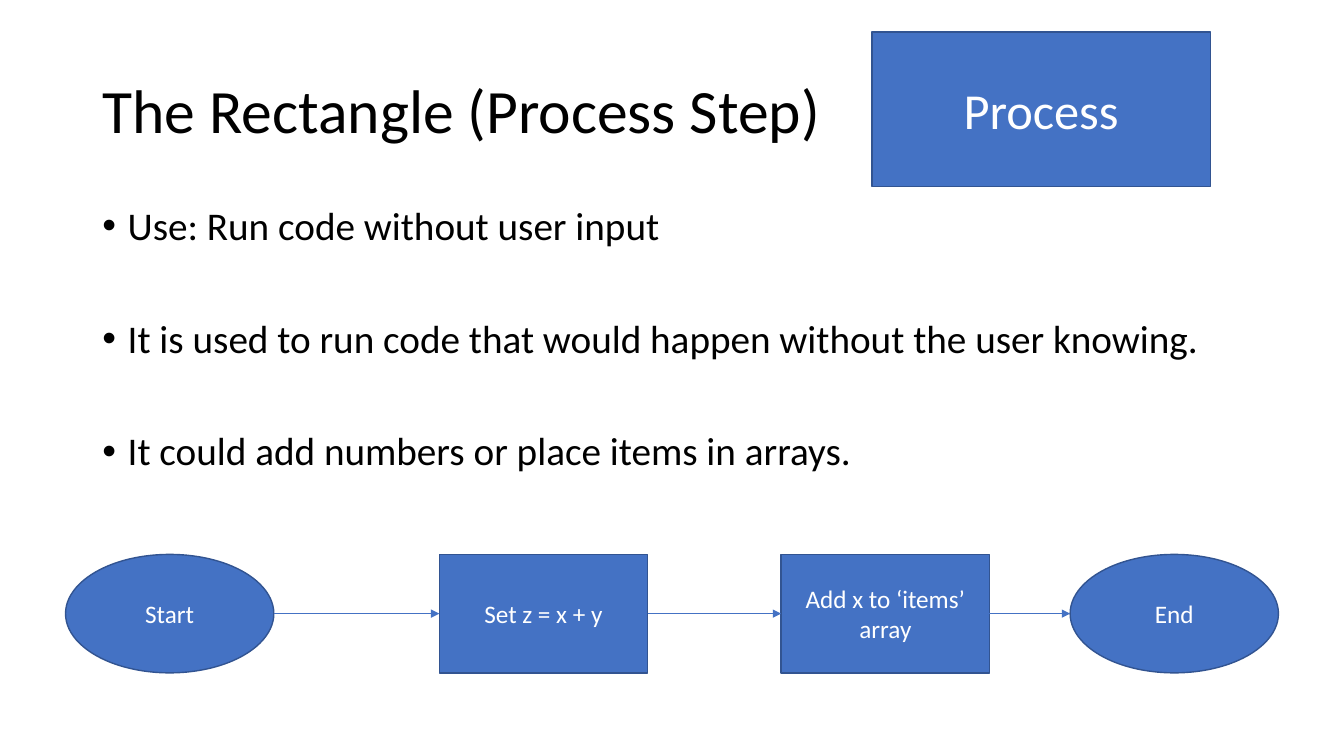
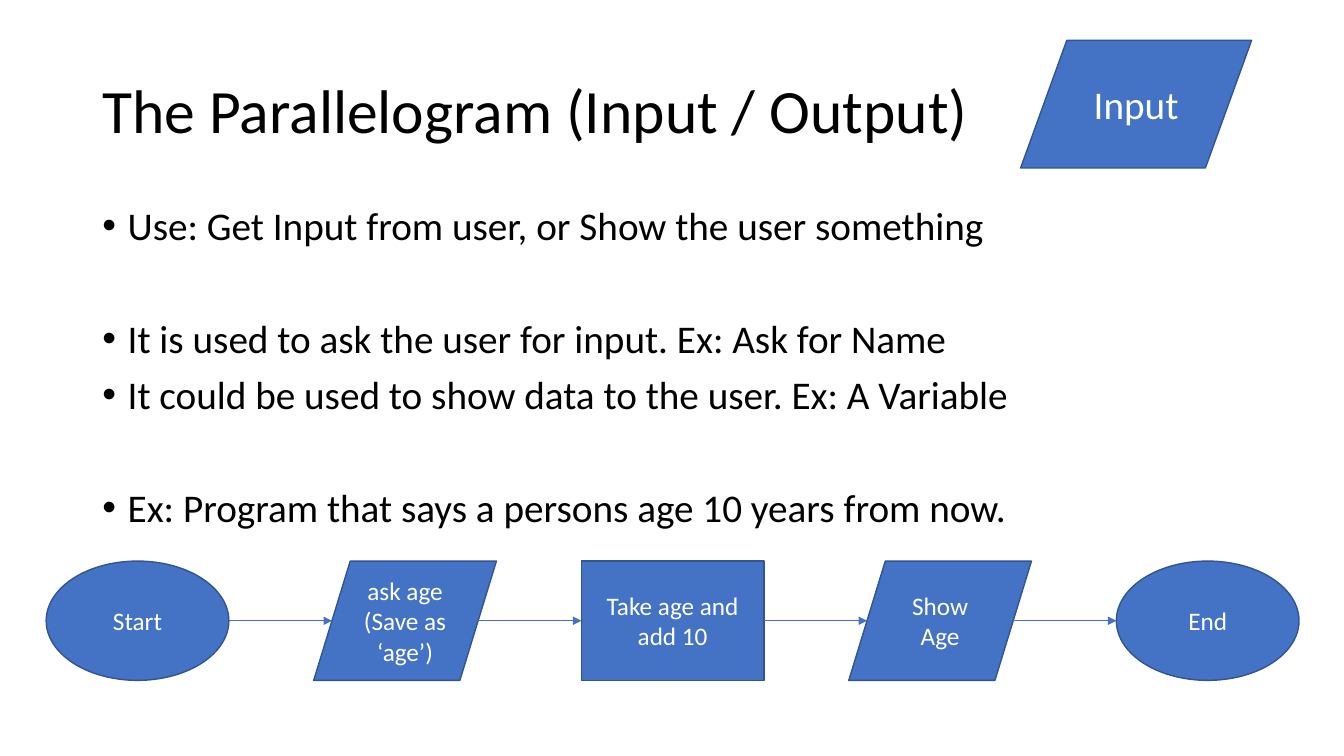
from lxml import etree
from pptx import Presentation
from pptx import util as u
from pptx.dml.color import RGBColor
from pptx.enum import shapes, text
from pptx.oxml.ns import qn

BLACK = RGBColor(0x00, 0x00, 0x00)
WHITE = RGBColor(0xFF, 0xFF, 0xFF)
BLUE = RGBColor(0x44, 0x72, 0xC4)
DARK_BLUE = RGBColor(0x32, 0x54, 0x91)

COLUMNS, ROWS = 160, 90
CELL = u.Inches(1) // 12

TERMINAL = shapes.MSO_SHAPE.OVAL
PROCESS = shapes.MSO_SHAPE.RECTANGLE
DATA = shapes.MSO_SHAPE.FLOWCHART_DATA


def cells(*counts):
    """Turn grid counts into lengths."""
    return [u.Emu(round(count * CELL)) for count in counts]


class FlowchartDeck:
    """Holds the shared style and the current slide; lengths are grid cells."""

    FONT = "Calibri"
    TITLE_AREA = (11, 4.8, 138, 17.4)
    BODY_AREA = (11, 24, 138, 57.1)
    LINE_SPACING = 0.9
    NEAR, FAR = u.Pt(10), u.Pt(50.2)

    def __init__(self):
        self.deck = Presentation()
        self.deck.slide_width, self.deck.slide_height = cells(COLUMNS, ROWS)
        self.page = None

    def add_page(self, title):
        self.page = self.deck.slides.add_slide(self.deck.slide_layouts[1])
        frame = self.fill_placeholder(0, self.TITLE_AREA, title)
        frame.vertical_anchor = text.MSO_ANCHOR.MIDDLE
        self.style_text(frame, 44, BLACK, text.PP_ALIGN.LEFT)
        frame.paragraphs[0].line_spacing = self.LINE_SPACING

    def fill_placeholder(self, index, area, content):
        box = self.page.placeholders[index]
        box.left, box.top, box.width, box.height = cells(*area)
        frame = box.text_frame
        frame.auto_size = text.MSO_AUTO_SIZE.NONE
        frame.text = content
        return frame

    def style_text(self, frame, size, color, align):
        for para in frame.paragraphs:
            para.alignment = align
            for span in para.runs:
                span.font.name = self.FONT
                span.font.size = u.Pt(size)
                span.font.color.rgb = color

    def add_bullets(self, groups):
        """Write groups of bullets, with a wide gap between groups."""
        items = [item for group in groups for item in group]
        gaps = [self.NEAR if place else self.FAR
                for group in groups for place in range(len(group))]
        gaps[0] = u.Pt(0)
        frame = self.fill_placeholder(1, self.BODY_AREA, "\n".join(items))
        for para, gap in zip(frame.paragraphs, gaps):
            properties = para._p.get_or_add_pPr()
            properties.set("marL", str(u.Inches(0.25)))
            properties.set("indent", str(-u.Inches(0.25)))
            etree.SubElement(properties, qn("a:buFont")).set("typeface", "Arial")
            etree.SubElement(properties, qn("a:buChar")).set("char", "•")
            para.line_spacing = self.LINE_SPACING
            para.space_before = gap
        self.style_text(frame, 28, BLACK, text.PP_ALIGN.LEFT)

    def add_symbol(self, kind, label, area, size=18):
        box = self.page.shapes.add_shape(kind, *cells(*area))
        box.shadow.inherit = False
        box.fill.solid()
        box.fill.fore_color.rgb = BLUE
        box.line.color.rgb = DARK_BLUE
        box.line.width = u.Pt(1)
        frame = box.text_frame
        frame.word_wrap = True
        frame.vertical_anchor = text.MSO_ANCHOR.MIDDLE
        frame.text = label
        self.style_text(frame, size, WHITE, text.PP_ALIGN.CENTER)

    def add_arrow(self, start, end, row):
        arrow = self.page.shapes.add_connector(
            shapes.MSO_CONNECTOR.STRAIGHT, *cells(start, row, end, row))
        arrow.line.color.rgb = BLUE
        arrow.line.width = u.Pt(0.5)
        outline = arrow.line._get_or_add_ln()
        etree.SubElement(outline, qn("a:tailEnd")).set("type", "triangle")
        etree.SubElement(arrow._element.spPr, qn("a:effectLst"))

    def add_flow(self, steps, lefts, top, width, height):
        """Draw a row of (kind, label) steps and the arrows joining them."""
        edges = []
        for (kind, label), left in zip(steps, lefts):
            self.add_symbol(kind, label, (left, top, width, height))
            slant = width / 10 if kind == DATA else 0
            edges.append((left + slant, left + width - slant))
        for (_, start), (end, _) in zip(edges, edges[1:]):
            self.add_arrow(start, end, top + height / 2)


def main():
    show = FlowchartDeck()

    show.add_page("The Rectangle (Process Step)")
    show.add_bullets([
        ["Use: Run code without user input"],
        ["It is used to run code that would happen without the user knowing."],
        ["It could add numbers or place items in arrays."],
    ])
    show.add_symbol(PROCESS, "Process", (103.8, 3.8, 40.3, 18.4), 36)
    show.add_flow(
        [(TERMINAL, "Start"), (PROCESS, "Set z = x + y"),
         (PROCESS, "Add x to ‘items’ array"), (TERMINAL, "End")],
        lefts=(7.8, 52.3, 93, 127.4), top=66, width=24.8, height=14.1)

    show.add_page("The Parallelogram (Input / Output)")
    show.add_bullets([
        ["Use: Get Input from user, or Show the user something"],
        ["It is used to ask the user for input. Ex: Ask for Name",
         "It could be used to show data to the user. Ex: A Variable"],
        ["Ex: Program that says a persons age 10 years from now."],
    ])
    show.add_symbol(DATA, "Input", (121.5, 4.8, 27.5, 15.2), 28)
    show.add_flow(
        [(TERMINAL, "Start"), (DATA, "ask age\n(Save as ‘age’)"),
         (PROCESS, "Take age and add 10"), (DATA, "Show Age"),
         (TERMINAL, "End")],
        lefts=[5.5 + 31.85 * step for step in range(5)],
        top=66.8, width=21.75, height=14.2)

    show.deck.save("out.pptx")


if __name__ == "__main__":
    main()
